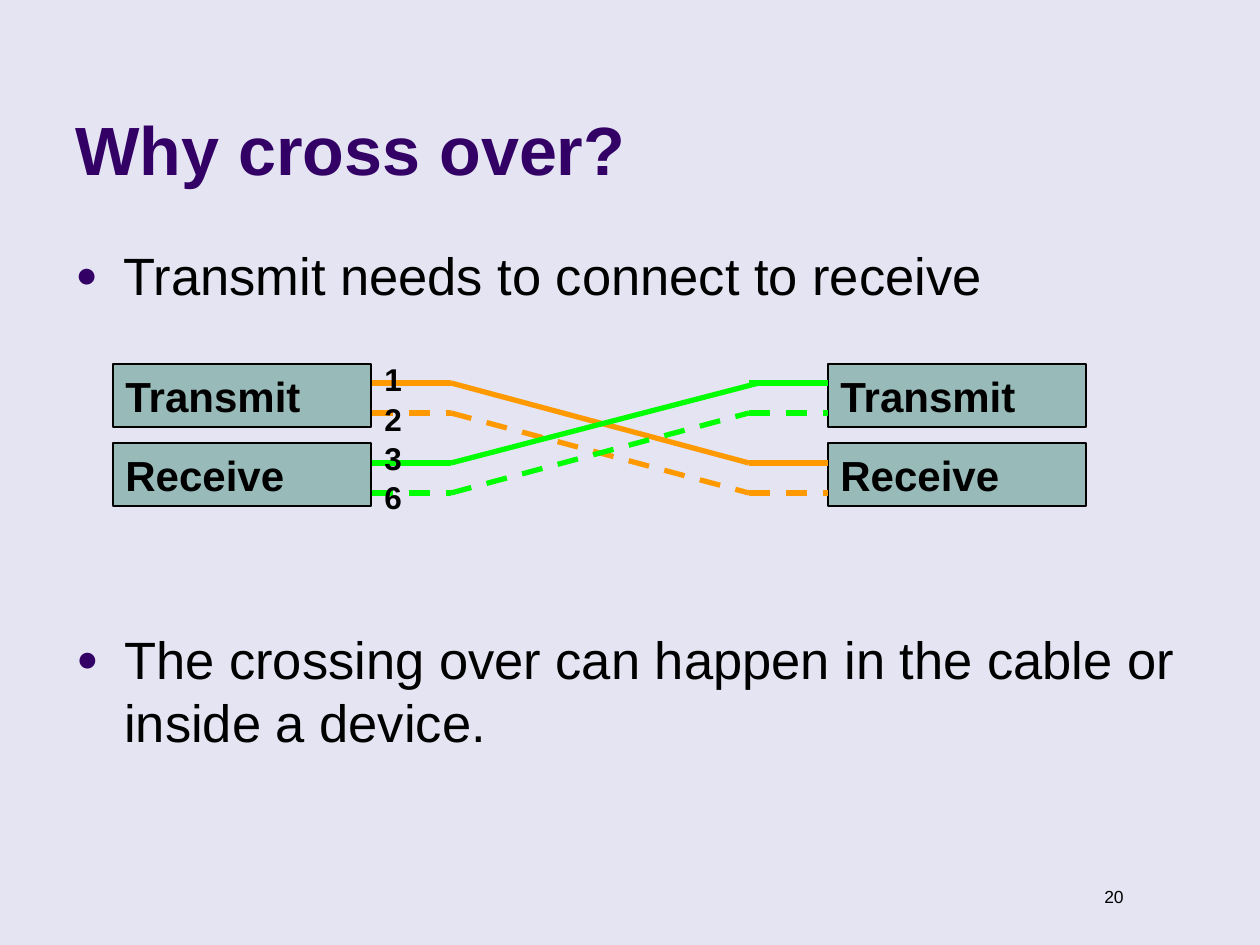
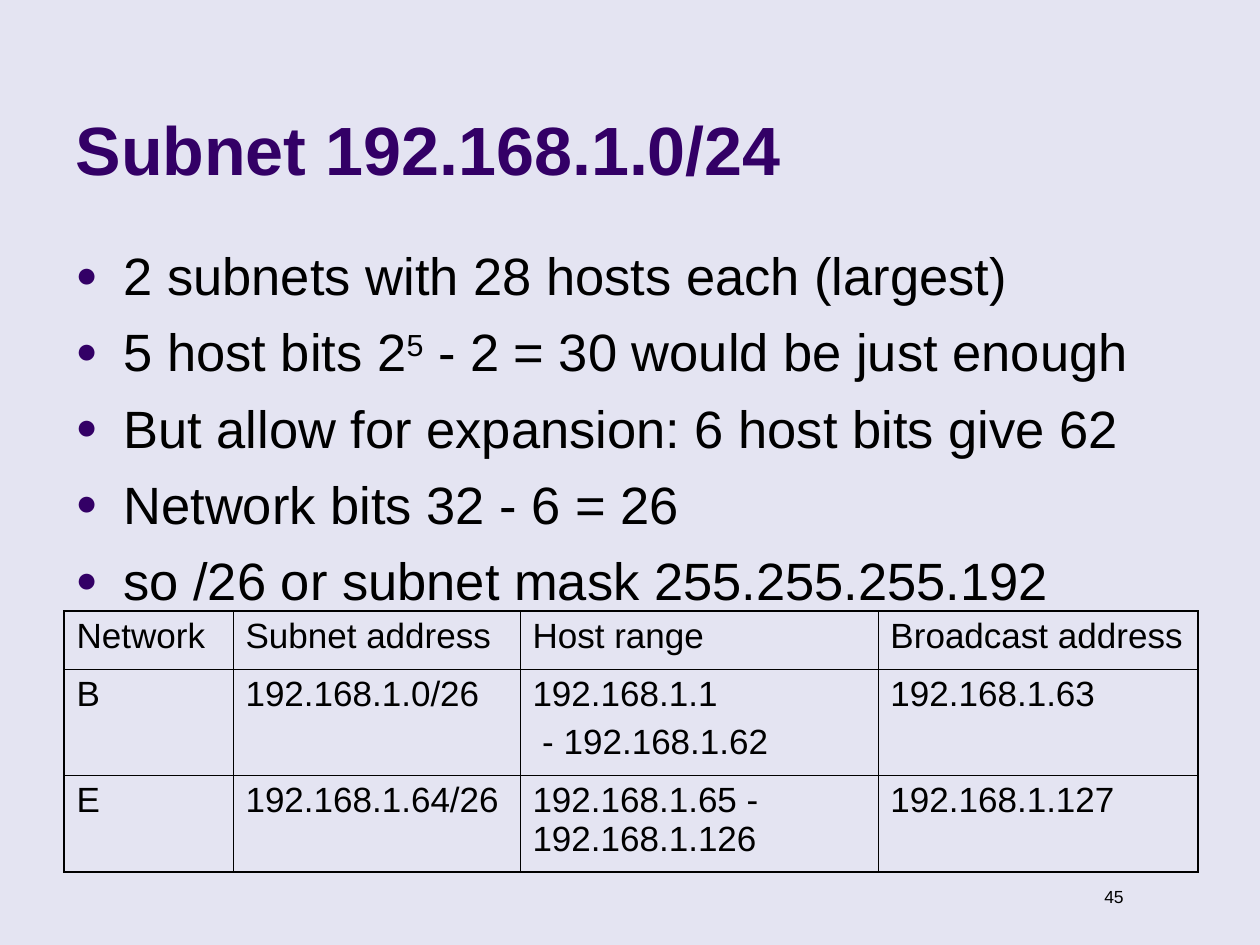
from dataclasses import dataclass
from pptx import Presentation
from pptx import util as u
from pptx.dml.color import RGBColor
from pptx.enum import dml, shapes, text
from pptx.oxml import parse_xml
from pptx.oxml.ns import nsdecls


@dataclass(frozen=True)
class Theme:
    font: str = "Arial"
    back: str = "E4E4F2"
    ink: str = "000000"
    accent: str = "330066"
    box: str = "98BBBA"
    orange: str = "FF9900"
    green: str = "00FF00"
    title: int = 39
    body: int = 30
    label: int = 24
    cell: int = 20
    pin: int = 18
    number: int = 10


T = Theme()
PX = 914400 / 126

CROSS = {
    "title": "Why cross over?", "number": "20",
    "bullets": [["Transmit needs to connect to receive"]],
    "body_height": 107,
}
CABLE_NOTE = [["The crossing over can happen in the cable or inside a device."]]
PORTS = ["Transmit", "Receive"]
PINS = ["1", "2", "3", "6"]
WIRES = [
    (T.orange, False, 383, 463, 749),
    (T.orange, True, 413, 493, 749),
    (T.green, False, 463, 383, 759),
    (T.green, True, 493, 413, 749),
]
BOX_X, BOX_Y, BOX_STEP, BOX_W, BOX_H = (113, 828), 364, 79, 258, 63
WIRE_LEFT, BEND_LEFT, BEND_RIGHT, WIRE_RIGHT = 372, 451, 749, 828

SUBNET = {
    "title": "Subnet 192.168.1.0/24", "number": "45",
    "bullets": [
        ["2 subnets with 28 hosts each (largest)"],
        ["5 host bits 2", "5", " - 2 = 30 would be just enough"],
        ["But allow for expansion: 6 host bits give 62"],
        ["Network bits 32 - 6 = 26"],
        ["so /26 or subnet mask 255.255.255.192"],
    ],
    "body_height": 607,
}
COLS = [169, 287, 358, 320]
ROWS = [58, 106, 97]
CELLS = [
    ["Network", "Subnet address", "Host range", "Broadcast address"],
    ["B", "192.168.1.0/26", "192.168.1.1\n - 192.168.1.62", "192.168.1.63"],
    ["E", "192.168.1.64/26", "192.168.1.65 - 192.168.1.126", "192.168.1.127"],
]


def emu(*lengths):
    return [u.Emu(round(n * PX)) for n in lengths]


def rgb(colour):
    return RGBColor.from_string(colour)


def style(p, size, colour=T.ink, bold=False):
    for r in p.runs:
        r.font.name, r.font.size, r.font.bold = T.font, u.Pt(size), bold
        r.font.color.rgb = rgb(colour)


def place(sp, box):
    sp.left, sp.top, sp.width, sp.height = emu(*box)


def add_text(s, words, box, size, bold=False, align=text.PP_ALIGN.LEFT):
    sp = s.shapes.add_textbox(*emu(*box))
    tf = sp.text_frame
    tf.word_wrap = True
    tf.text = words
    tf.paragraphs[0].alignment = align
    style(tf.paragraphs[0], size, bold=bold)


def fill_bullets(tf, items):
    tf.word_wrap = True
    tf.auto_size = text.MSO_AUTO_SIZE.NONE
    for i, parts in enumerate(items):
        p = tf.add_paragraph() if i else tf.paragraphs[0]
        pPr = p._p.get_or_add_pPr()
        pPr.set("marL", str(u.Inches(0.38)))
        pPr.set("indent", str(-u.Inches(0.38)))
        for xml in (
            f'<a:buClr {nsdecls("a")}><a:srgbClr val="{T.accent}"/></a:buClr>',
            f'<a:buSzPct {nsdecls("a")} val="70000"/>',
            f'<a:buFont {nsdecls("a")} typeface="{T.font}"/>',
            f'<a:buChar {nsdecls("a")} char="●"/>',
        ):
            pPr.append(parse_xml(xml))
        p.line_spacing = 1.0
        p.space_before = u.Pt(7.5 if i else 0)
        for k, part in enumerate(parts):
            r = p.add_run()
            r.text = part
            if k % 2:
                r._r.get_or_add_rPr().set("baseline", "30000")
        style(p, T.body)


def add_slide(prs, content):
    s = prs.slides.add_slide(prs.slide_layouts[1])
    title, body = s.shapes.title, s.placeholders[1]
    place(title, (63, 16, 1040, 179))
    tf = title.text_frame
    tf.text = content["title"]
    tf.vertical_anchor = text.MSO_ANCHOR.BOTTOM
    tf.auto_size = text.MSO_AUTO_SIZE.NONE
    tf.paragraphs[0].alignment = text.PP_ALIGN.LEFT
    style(tf.paragraphs[0], T.title, T.accent, True)
    place(body, (63, 237, 1134, content["body_height"]))
    fill_bullets(body.text_frame, content["bullets"])
    add_text(s, content["number"], (1057, 880, 79, 34), T.number,
             align=text.PP_ALIGN.RIGHT)
    return s


def add_port(s, name, x, y):
    sp = s.shapes.add_shape(shapes.MSO_SHAPE.RECTANGLE, *emu(x, y, BOX_W, BOX_H))
    sp.shadow.inherit = False
    sp.fill.solid()
    sp.fill.fore_color.rgb = rgb(T.box)
    sp.line.color.rgb = rgb(T.ink)
    sp.line.width = u.Pt(0.75)
    tf = sp.text_frame
    tf.text = name
    tf.vertical_anchor = text.MSO_ANCHOR.TOP
    tf.paragraphs[0].alignment = text.PP_ALIGN.LEFT
    style(tf.paragraphs[0], T.label, bold=True)


def add_line(s, ends, colour, dashed):
    ln = s.shapes.add_connector(shapes.MSO_CONNECTOR.STRAIGHT, *emu(*ends))
    ln.line.color.rgb = rgb(colour)
    ln.line.width = u.Pt(3)
    if dashed:
        ln.line.dash_style = dml.MSO_LINE.DASH
    ln._element.spPr.append(parse_xml(f'<a:effectLst {nsdecls("a")}/>'))


def add_crossover(s):
    for i, name in enumerate(PORTS):
        for x in BOX_X:
            add_port(s, name, x, BOX_Y + i * BOX_STEP)
    for colour, dashed, y1, y2, cross_end in WIRES:
        for ends in (
            (WIRE_LEFT, y1, BEND_LEFT, y1),
            (BEND_RIGHT, y2, WIRE_RIGHT, y2),
            (BEND_LEFT, y1, cross_end, y2),
        ):
            add_line(s, ends, colour, dashed)
    for i, pin in enumerate(PINS):
        add_text(s, pin, (WIRE_LEFT, 354 + round(i * 39.5), 49, 50), T.pin, True)
    sp = s.shapes.add_textbox(*emu(64, 621, 1131, 159))
    fill_bullets(sp.text_frame, CABLE_NOTE)


def set_borders(cell, outer):
    tcPr = cell._tc.get_or_add_tcPr()
    for i, side in enumerate("LRTB"):
        width = u.Pt(1.08 if side in outer else 0.45)
        tcPr.insert(i, parse_xml(
            f'<a:ln{side} {nsdecls("a")} w="{width}"><a:solidFill>'
            f'<a:srgbClr val="{T.ink}"/></a:solidFill></a:ln{side}>'))


def add_subnet_table(s):
    frame = s.shapes.add_table(len(ROWS), len(COLS),
                               *emu(64, 611, sum(COLS), sum(ROWS)))
    tbl = frame.table
    tbl.first_row = tbl.horz_banding = False
    for col, width in zip(tbl.columns, emu(*COLS)):
        col.width = width
    for row, height in zip(tbl.rows, emu(*ROWS)):
        row.height = height
    for i, row in enumerate(CELLS):
        for j, words in enumerate(row):
            cell = tbl.cell(i, j)
            cell.text = words
            cell.fill.background()
            cell.margin_left = cell.margin_right = u.Inches(0.1)
            cell.margin_top = cell.margin_bottom = u.Inches(0.05)
            for k, p in enumerate(cell.text_frame.paragraphs):
                p.space_before = u.Pt(5 if k else 0)
                style(p, T.cell)
            edges = {"L": j == 0, "R": j == len(COLS) - 1,
                     "T": i == 0, "B": i == len(ROWS) - 1}
            set_borders(cell, [side for side, on in edges.items() if on])


def main():
    prs = Presentation()
    prs.slide_width, prs.slide_height = emu(1260, 945)
    back = prs.slide_master.background.fill
    back.solid()
    back.fore_color.rgb = rgb(T.back)
    add_crossover(add_slide(prs, CROSS))
    add_subnet_table(add_slide(prs, SUBNET))
    prs.save("out.pptx")


if __name__ == "__main__":
    main()
